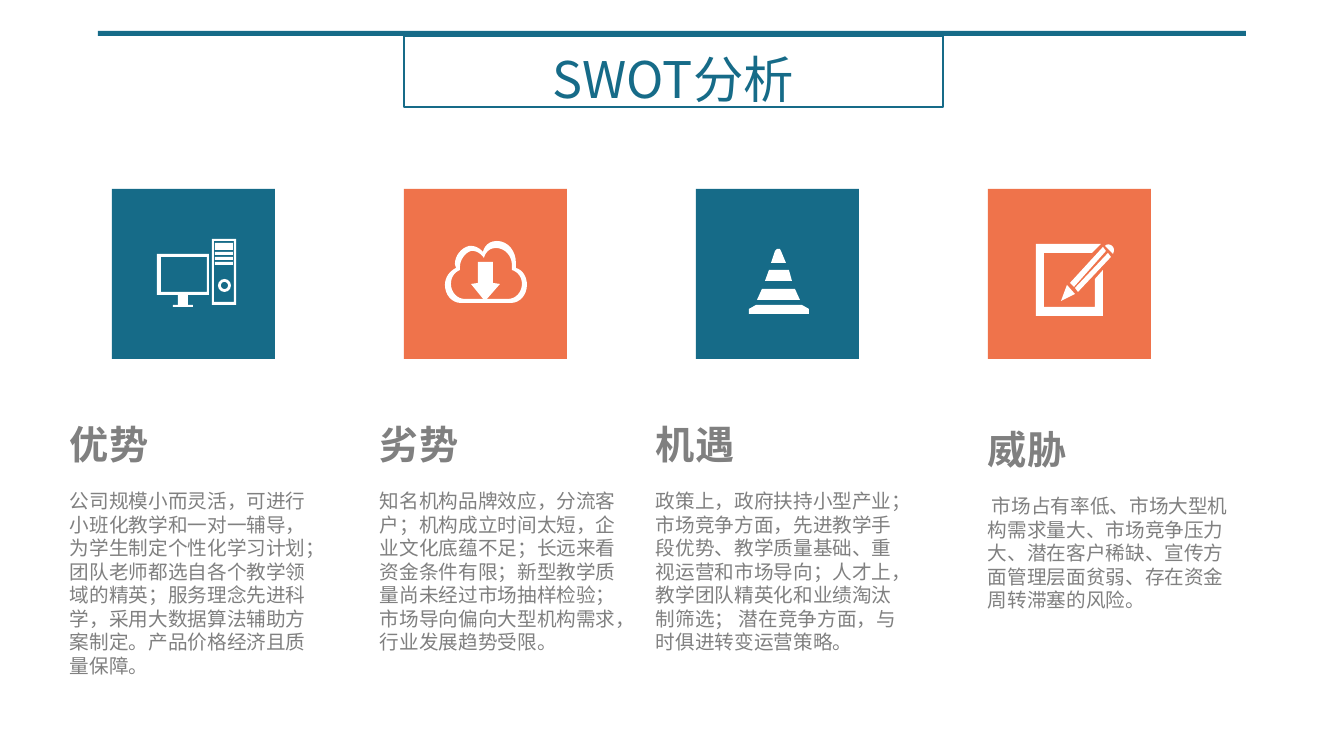
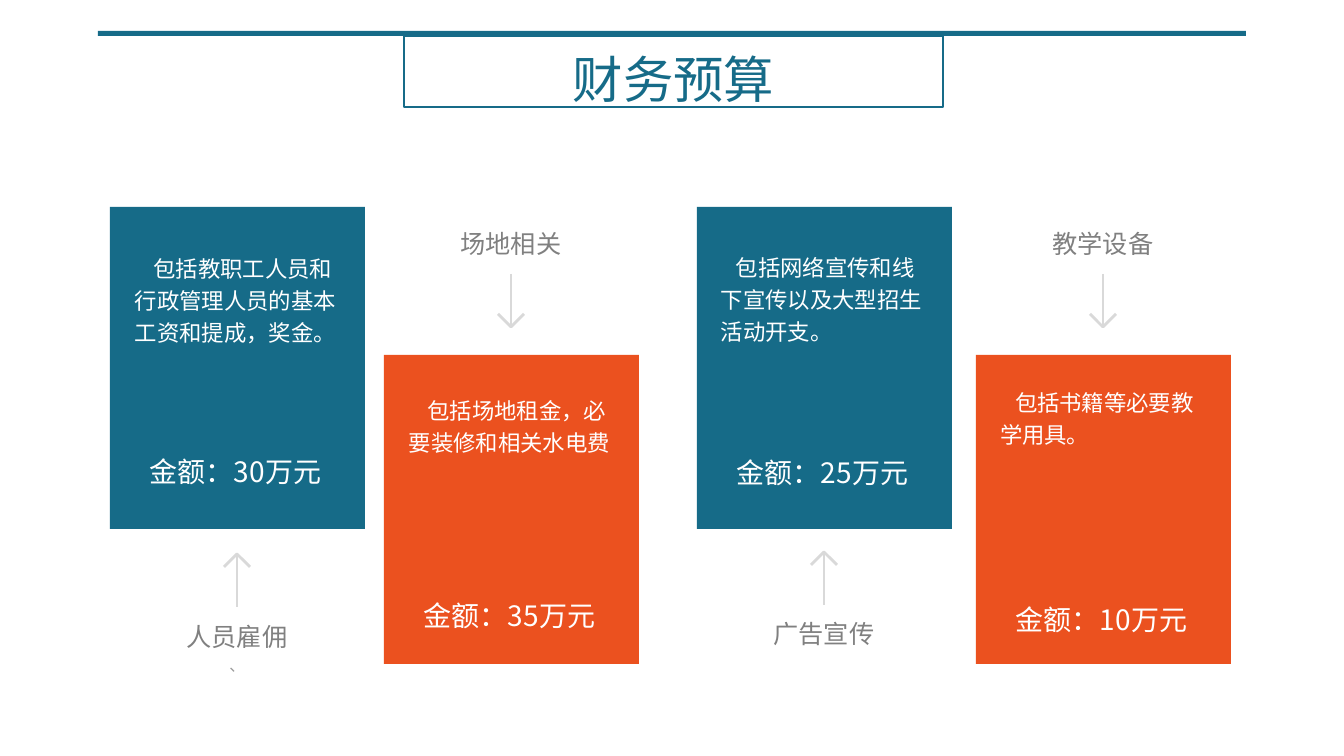
from dataclasses import dataclass

from pptx import Presentation
from pptx.dml.color import RGBColor
from pptx.enum.shapes import MSO_SHAPE
from pptx.enum.text import MSO_ANCHOR, PP_ALIGN
from pptx.oxml.ns import qn
from pptx.util import Pt
from lxml.etree import SubElement

PX = 12192000 / 1344


@dataclass(frozen=True)
class Theme:
    teal: str = "166B88"
    orange: str = "EB511F"
    gray: str = "808080"
    mark: str = "999999"
    arrow: str = "D9D9D9"
    white: str = "FFFFFF"
    title_font: str = "Noto Sans CJK JP"
    body_font: str = "Noto Sans CJK SC"
    heading_font: str = "Open Sans"
    label_font: str = "Manrope"
    title_size: int = 36
    heading_size: int = 28
    amount_size: int = 20
    label_size: int = 18
    card_size: int = 16
    body_size: int = 14
    mark_size: int = 11


THEME = Theme()

TITLE = dict(size=THEME.title_size, font=THEME.title_font, color=THEME.teal,
             alignment=PP_ALIGN.CENTER, line_spacing=Pt(48))
HEADING = dict(size=THEME.heading_size, font=THEME.heading_font, color=THEME.gray,
               bold=True, line_spacing=Pt(37))
BODY = dict(size=THEME.body_size, font=THEME.body_font, color=THEME.gray,
            line_spacing=Pt(16.85), space_before=Pt(15))
CARD = dict(size=THEME.card_size, font=THEME.body_font, color=THEME.white,
            line_spacing=Pt(22.9), indent=15)
AMOUNT = dict(size=THEME.amount_size, font=THEME.body_font, color=THEME.white,
              alignment=PP_ALIGN.CENTER, line_spacing=Pt(28.6))
LABEL = dict(size=THEME.label_size, font=THEME.label_font, color=THEME.gray,
             alignment=PP_ALIGN.CENTER)
MARK = {**LABEL, "size": THEME.mark_size, "color": THEME.mark}

SWOT_TITLE = "SWOT分析"
SWOT = [
    ("优势", 65, 413, 0,
     "公司规模小而灵活，可进行小班化教学和一对一辅导，为学生制定个性化学习计划；"
     "团队老师都选自各个教学领域的精英；服务理念先进科学，采用大数据算法辅助方案制定。"
     "产品价格经济且质量保障。"),
    ("劣势", 375, 413, 0,
     "知名机构品牌效应，分流客户；机构成立时间太短，企业文化底蕴不足；"
     "长远来看资金条件有限；新型教学质量尚未经过市场抽样检验；"
     "市场导向偏向大型机构需求，行业发展趋势受限。"),
    ("机遇", 651, 413, 0,
     "政策上，政府扶持小型产业；市场竞争方面，先进教学手段优势、教学质量基础、"
     "重视运营和市场导向；人才上，教学团队精英化和业绩淘汰制筛选； "
     "潜在竞争方面，与时俱进转变运营策略。"),
    ("威胁", 983, 418, 4,
     "市场占有率低、市场大型机构需求量大、市场竞争压力大、潜在客户稀缺、"
     "宣传方面管理层面贫弱、存在资金周转滞塞的风险。"),
]

BUDGET_TITLE = "财务预算"
BUDGET = [
    dict(label="人员雇佣", label_top=616, left=110, text_top=238, gap=73, up=True, tip=554,
         align=PP_ALIGN.CENTER, amount="金额：30万元",
         text="包括教职工人员和行政管理人员的基本工资和提成，奖金。"),
    dict(label="场地相关", label_top=223, left=384, text_top=380, gap=97, up=False, tip=327,
         align=PP_ALIGN.CENTER, amount="金额：35万元",
         text="包括场地租金，必要装修和相关水电费"),
    dict(label="广告宣传", label_top=613, left=697, text_top=237, gap=74, up=True, tip=552,
         align=PP_ALIGN.LEFT, amount="金额：25万元",
         text="包括网络宣传和线下宣传以及大型招生活动开支。"),
    dict(label="教学设备", label_top=223, left=976, text_top=372, gap=106, up=False, tip=327,
         align=PP_ALIGN.LEFT, amount="金额：10万元",
         text="包括书籍等必要教学用具。"),
]
STRAY_MARK = "、"

TOWER_SLOTS = [(215, 243, 18, 7), (215, 252, 18, 3), (215, 257, 18, 3), (215, 262, 18, 3)]
MONITOR_STAND = [(178, 295, 10, 10), (173, 305, 20, 2)]
POWER_BUTTON = (218, 279, 13, 13)
COMPUTER = [
    [[(212, 239), (236, 239), (236, 305), (212, 305)],
     [(214, 241), (234, 241), (234, 302), (214, 302)]],
    [[(157, 254), (209, 254), (209, 295), (157, 295)],
     [(161, 257), (207, 257), (207, 292), (161, 292)]],
]
CLOUD = [
    [[(516, 268), (516, 266, 516, 264, 516, 263), (516, 251, 508, 241, 497, 241),
      (485, 241, 483, 252, 483, 252), (483, 252, 478, 245, 469, 246),
      (461, 248, 455, 256, 455, 264), (455, 265, 456, 267, 456, 268),
      (450, 271, 445, 277, 445, 285), (445, 295, 452, 303, 461, 303), (511, 303),
      (520, 303, 527, 295, 527, 285), (527, 277, 523, 270, 516, 268)],
     [(508, 299), (465, 299), (457, 299, 451, 292, 451, 284),
      (451, 277, 455, 272, 460, 270), (460, 269, 460, 268, 460, 267),
      (460, 260, 465, 253, 471, 251), (479, 250, 484, 258, 484, 258),
      (484, 258, 486, 248, 496, 248), (505, 248, 512, 256, 512, 265),
      (512, 267, 512, 268, 512, 270), (518, 272, 522, 277, 522, 284),
      (522, 292, 516, 299, 508, 299)]],
    [[(478, 262), (493, 262), (493, 283), (500, 284), (486, 300), (484, 300),
      (471, 284), (478, 283)]],
]
CONE = [[
    [(809, 314), (749, 314), (749, 309), (756, 305), (802, 305), (809, 309)],
    [(757, 300), (762, 289), (795, 289), (800, 300)],
    [(765, 281), (769, 270), (789, 270), (792, 281)],
    [(771, 263), (775, 251), (777, 249), (780, 249), (781, 251), (786, 263)],
]]
PENCIL = [[
    [(1075, 294), (1067, 285), (1061, 301)],
    [(1103, 247), (1070, 283), (1074, 287), (1106, 251)],
    [(1075, 288), (1078, 292), (1111, 257), (1108, 253)],
    [(1105, 246), (1108, 242, 1117, 246, 1113, 254)],
    [(1095, 307), (1044, 307), (1044, 253), (1092, 253), (1101, 244), (1036, 244),
     (1036, 316), (1103, 316), (1103, 270), (1095, 279)],
]]


def emu(*lengths):
    return [round(length * PX) for length in lengths]


def paint(shape, fill=None, line=None, width=1, alpha=None):
    shape.shadow.inherit = False
    if fill:
        shape.fill.solid()
        shape.fill.fore_color.rgb = RGBColor.from_string(fill)
        if alpha:
            color = shape.fill._xPr.find(qn("a:solidFill"))[0]
            SubElement(color, qn("a:alpha")).set("val", str(alpha * 1000))
    else:
        shape.fill.background()
    if line:
        shape.line.color.rgb = RGBColor.from_string(line)
        shape.line.width = Pt(width)
    else:
        shape.line.fill.background()
    return shape


def add_block(page, area, kind=MSO_SHAPE.RECTANGLE, **look):
    return paint(page.shapes.add_shape(kind, *emu(*area)), **look)


def flatten(contour, steps=8):
    points = [contour[0]]
    for part in contour[1:]:
        if len(part) == 2:
            points.append(part)
            continue
        corners = [points[-1], part[:2], part[2:4], part[4:]]
        for step in range(1, steps + 1):
            t = step / steps
            weights = ((1 - t) ** 3, 3 * t * (1 - t) ** 2, 3 * t * t * (1 - t), t ** 3)
            points.append(tuple(sum(w * c[axis] for w, c in zip(weights, corners))
                                for axis in (0, 1)))
    return [tuple(emu(*point)) for point in points]


def add_outline(page, contours, close=True, **look):
    paths = [flatten(contour) for contour in contours]
    builder = page.shapes.build_freeform(*paths[0][0])
    for index, points in enumerate(paths):
        if index:
            builder.move_to(*points[0])
        builder.add_line_segments(points[1:], close=close)
    return paint(builder.convert_to_shape(), **look)


def write(frame, paragraphs, inset=(0, 0), anchor=MSO_ANCHOR.TOP, wrap=True):
    horizontal, vertical = emu(*inset)
    settings = dict(margin_left=horizontal, margin_right=horizontal, margin_top=vertical,
                    margin_bottom=vertical, vertical_anchor=anchor, word_wrap=wrap)
    for name, value in settings.items():
        setattr(frame, name, value)
    for index, (text, style) in enumerate(paragraphs):
        para = frame.add_paragraph() if index else frame.paragraphs[0]
        for name in ("alignment", "line_spacing", "space_before"):
            if name in style:
                setattr(para, name, style[name])
        if style.get("indent"):
            para._p.get_or_add_pPr().set("indent", str(*emu(style["indent"])))
        span = para.add_run()
        span.text = text
        looks = dict(size=Pt(style["size"]), bold=style.get("bold", False), name=style["font"])
        for name, value in looks.items():
            setattr(span.font, name, value)
        span.font.color.rgb = RGBColor.from_string(style["color"])
        east = THEME.title_font if style is TITLE else THEME.body_font
        SubElement(span._r.get_or_add_rPr(), qn("a:ea")).set("typeface", east)


def add_text(page, area, paragraphs, **layout):
    box = page.shapes.add_textbox(*emu(*area))
    write(box.text_frame, paragraphs, **layout)


def add_page(deck, title):
    page = deck.slides.add_slide(deck.slide_layouts[6])
    add_block(page, (98, 31, 1148, 5), fill=THEME.teal)
    frame = add_block(page, (404, 36, 539, 71), line=THEME.teal)
    write(frame.text_frame, [(title, TITLE)], inset=(10, 5))
    return page


def build_swot(deck):
    page = add_page(deck, SWOT_TITLE)
    for index, (heading, left, top, indent, body) in enumerate(SWOT):
        look = dict(fill=THEME.orange, alpha=80) if index % 2 else dict(fill=THEME.teal)
        add_block(page, (112 + 292 * index, 189, 163, 170), **look)
        add_text(page, (left, top, 257, 266),
                 [(heading, HEADING), (body, {**BODY, "indent": indent})], inset=(5, 3))
    for icon in (COMPUTER, CLOUD, CONE, PENCIL):
        for contours in icon:
            add_outline(page, contours, fill=THEME.white)
    for area in TOWER_SLOTS + MONITOR_STAND:
        add_block(page, area, fill=THEME.white)
    button = add_block(page, POWER_BUTTON, MSO_SHAPE.DONUT, fill=THEME.white)
    button.adjustments[0] = 0.22


def build_budget(deck):
    page = add_page(deck, BUDGET_TITLE)
    width = 255
    for card in BUDGET:
        left, tip, up = card["left"], card["tip"], card["up"]
        top, height, fill = (207, 322, THEME.teal) if up else (355, 309, THEME.orange)
        add_block(page, (left, top, width, height), fill=fill)
        center = left + width // 2
        toward_tail = 1 if up else -1
        barb = tip + 13 * toward_tail
        add_outline(page, [[(center, tip + 53 * toward_tail), (center, tip)],
                           [(center - 13, barb), (center, tip), (center + 13, barb)]],
                    close=False, line=THEME.arrow, width=2)
        add_text(page, (center - 61, card["label_top"], 122, 40), [(card["label"], LABEL)],
                 inset=(10, 5), anchor=MSO_ANCHOR.MIDDLE, wrap=False)
        add_text(page, (left, card["text_top"], 251, 266),
                 [(card["text"], {**CARD, "alignment": card["align"]}),
                  (card["amount"], {**AMOUNT, "space_before": Pt(card["gap"])})],
                 inset=(24, 12))
    add_text(page, (219, 651, 36, 29), [(STRAY_MARK, MARK)],
             inset=(10, 5), anchor=MSO_ANCHOR.MIDDLE, wrap=False)


def main():
    deck = Presentation()
    deck.slide_width, deck.slide_height = emu(1344, 756)
    build_swot(deck)
    build_budget(deck)
    deck.save("out.pptx")


if __name__ == "__main__":
    main()
